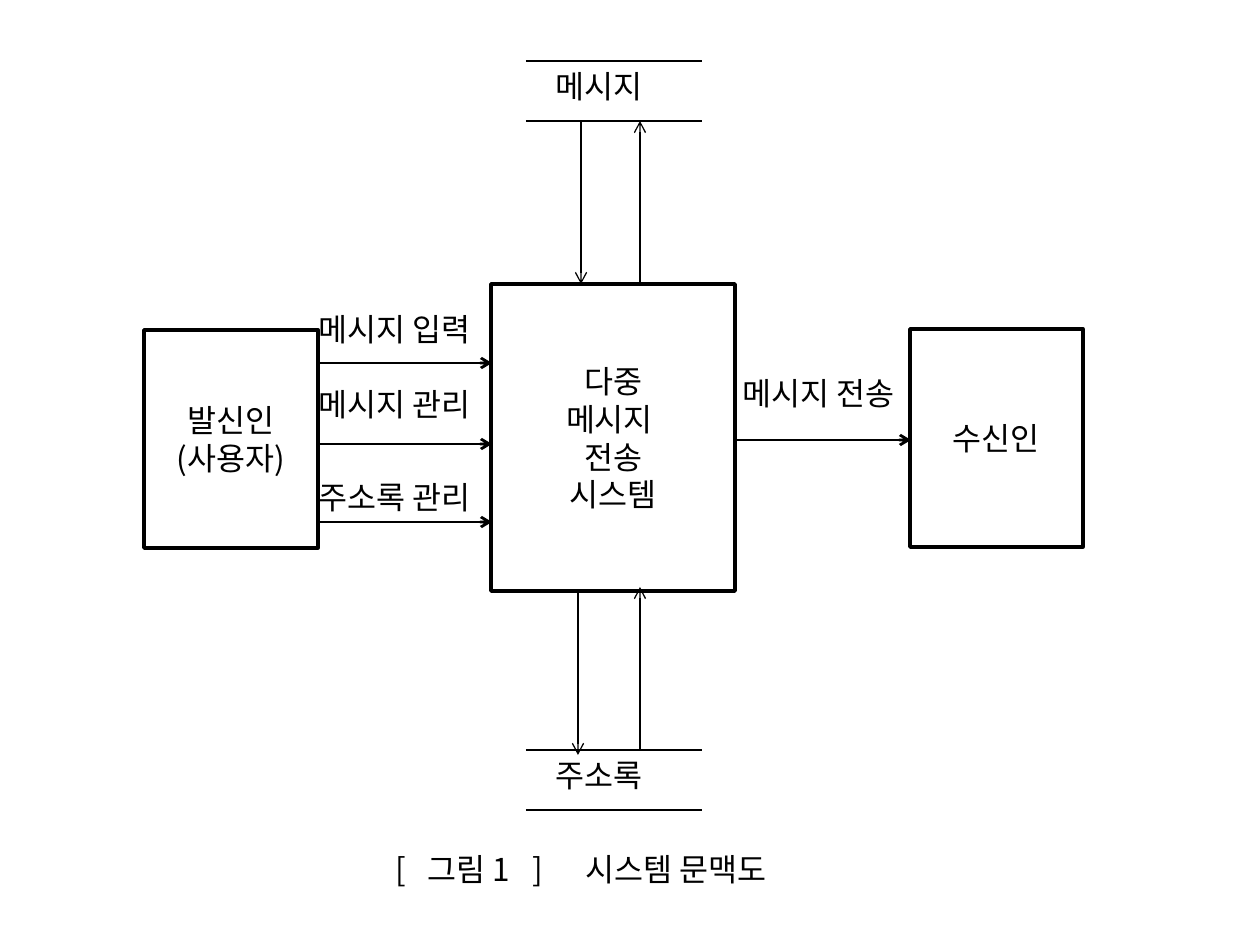
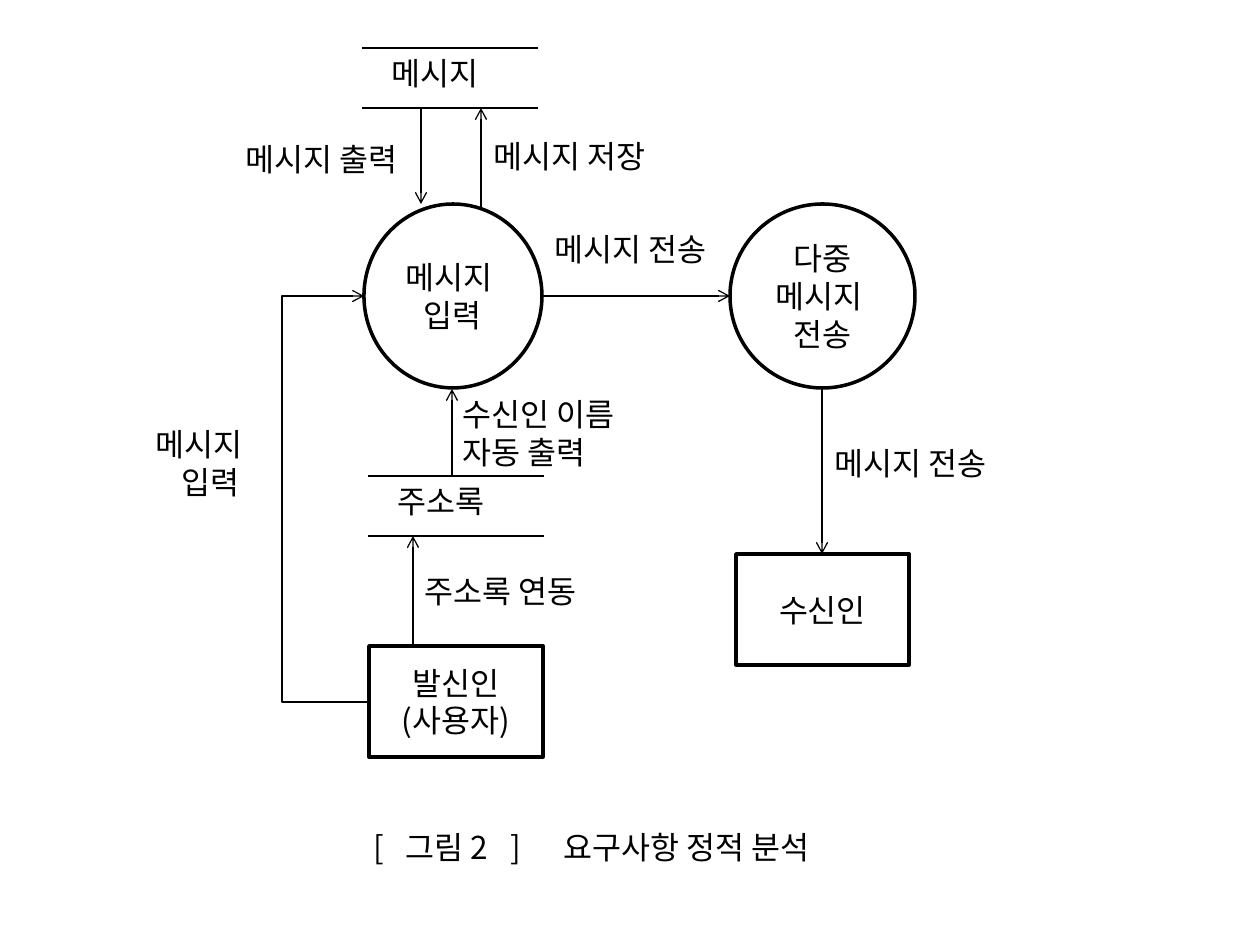
from lxml import etree
from pptx import Presentation
from pptx.dml.color import RGBColor
from pptx.enum.shapes import MSO_CONNECTOR, MSO_SHAPE
from pptx.enum.text import MSO_ANCHOR, MSO_AUTO_SIZE, PP_ALIGN
from pptx.oxml.ns import qn
from pptx.util import Inches, Pt

RECT, OVAL = MSO_SHAPE.RECTANGLE, MSO_SHAPE.OVAL
STRAIGHT, ELBOW = MSO_CONNECTOR.STRAIGHT, MSO_CONNECTOR.ELBOW
LEFT, CENTER = PP_ALIGN.LEFT, PP_ALIGN.CENTER
MIDDLE = MSO_ANCHOR.MIDDLE
FIT = MSO_AUTO_SIZE.SHAPE_TO_FIT_TEXT


def px(n):
    return round(n * Inches(1) / 126)


def rgb(value):
    return RGBColor.from_string(value)


class Diagram:
    FONT, SIZE = "Noto Sans CJK KR", 18
    INK, PAPER = "000000", "FFFFFF"
    BOX_LINE, STORE_LINE, BOLD_FLOW, THIN_FLOW = 2, 1.5, 1.6, 0.75
    STORE_W, STORE_H, STORE_INDENT = 176, 60, 17
    LINE_H, PAD_H = 38, 12
    CAPTION_TABS = (32, 137, 190)

    def __init__(self, prs):
        self.prs = prs
        self.s = None

    def new_slide(self):
        self.s = self.prs.slides.add_slide(self.prs.slide_layouts[6])

    def add_lines(self, tf, lines, align=LEFT, indents=()):
        """One paragraph per line, with an optional left indent for each."""
        tf.word_wrap = True
        for i, line in enumerate(lines):
            p = tf.paragraphs[0] if i == 0 else tf.add_paragraph()
            p.alignment = align
            if i < len(indents):
                p._p.get_or_add_pPr().set("marL", str(px(indents[i])))
            r = p.add_run()
            r.text = line
            r.font.size = Pt(self.SIZE)
            r.font.color.rgb = rgb(self.INK)
            r.font.name = self.FONT
            ea = etree.SubElement(r._r.get_or_add_rPr(), qn("a:ea"))
            ea.set("typeface", self.FONT)

    def node(self, kind, x, y, w, h, *lines):
        sp = self.s.shapes.add_shape(kind, px(x), px(y), px(w), px(h))
        sp.shadow.inherit = False
        sp.fill.solid()
        sp.fill.fore_color.rgb = rgb(self.PAPER)
        sp.line.color.rgb = rgb(self.INK)
        sp.line.width = Pt(self.BOX_LINE)
        sp.text_frame.vertical_anchor = MIDDLE
        self.add_lines(sp.text_frame, lines, CENTER)

    def label(self, x, y, w, *lines, indents=(), shapes=None):
        h = self.LINE_H * len(lines) + self.PAD_H
        shapes = self.s.shapes if shapes is None else shapes
        sp = shapes.add_textbox(px(x), px(y), px(w), px(h))
        self.add_lines(sp.text_frame, lines, indents=indents)
        sp.text_frame.auto_size = FIT
        return sp

    def line(self, x1, y1, x2, y2, width, kind=STRAIGHT, arrow=False, shapes=None):
        shapes = self.s.shapes if shapes is None else shapes
        c = shapes.add_connector(kind, px(x1), px(y1), px(x2), px(y2))
        c.line.color.rgb = rgb(self.INK)
        c.line.width = Pt(width)
        if arrow:
            tail = etree.SubElement(c.line._get_or_add_ln(), qn("a:tailEnd"))
            tail.set("type", "arrow")
        etree.SubElement(c._element.spPr, qn("a:effectLst"))
        return c

    def flow(self, x1, y1, x2, y2, width=THIN_FLOW):
        self.line(x1, y1, x2, y2, width, arrow=True)

    def bent_flow(self, x1, y1, x2, y2, via_x):
        """Elbow from lower right to upper left, turning at via_x."""
        c = self.line(x2, y2, x1, y1, self.THIN_FLOW, ELBOW, arrow=True)
        spPr = c._element.spPr
        spPr.find(qn("a:xfrm")).set("rot", "10800000")
        geom = spPr.find(qn("a:prstGeom"))
        av = geom.find(qn("a:avLst"))
        if av is None:
            av = etree.SubElement(geom, qn("a:avLst"))
        gd = etree.SubElement(av, qn("a:gd"))
        gd.set("name", "adj1")
        gd.set("fmla", f"val {round(100000 * (x1 - via_x) / (x1 - x2))}")

    def store(self, x, y, name):
        """Data store: a name between two rules."""
        shapes = self.s.shapes.add_group_shape().shapes
        right, bottom = x + self.STORE_W, y + self.STORE_H
        self.line(x, bottom, right, bottom, self.STORE_LINE, shapes=shapes)
        self.label(x, y, self.STORE_W, name,
                   indents=[self.STORE_INDENT], shapes=shapes)
        self.line(x, y, right, y, self.STORE_LINE, shapes=shapes)

    def caption(self, x, y, w, number, title):
        sp = self.label(x, y, w, f"[\t그림 {number}\t]\t{title}")
        pPr = sp.text_frame.paragraphs[0]._p.get_or_add_pPr()
        tabs = etree.SubElement(pPr, qn("a:tabLst"))
        for pos in self.CAPTION_TABS:
            tab = etree.SubElement(tabs, qn("a:tab"))
            tab.set("pos", str(px(pos)))
            tab.set("algn", "l")


prs = Presentation()
prs.slide_width, prs.slide_height = Inches(10), Inches(7.5)
d = Diagram(prs)
SENDER = ("발신인", "(사용자)")

# Slide 1: context diagram
d.new_slide()
d.node(RECT, 144, 330, 174, 218, *SENDER)
d.node(RECT, 491, 284, 244, 307, "다중", "메시지 ", "전송", "시스템")
d.node(RECT, 910, 329, 173, 218, "수신인")
d.store(526, 61, "메시지")
d.store(526, 750, "주소록")

# Sender to system, system to receiver
for label_y, flow_y, text in ((304, 363, "메시지 입력"),
                              (379, 444, "메시지 관리"),
                              (472, 522, "주소록 관리")):
    d.flow(318, flow_y, 492, flow_y, d.BOLD_FLOW)
    d.label(306, label_y, 199, text)
d.flow(736, 440, 911, 440, d.BOLD_FLOW)
d.label(730, 368, 199, "메시지 전송")

# System to and from the stores
d.flow(581, 121, 581, 284)
d.flow(640, 284, 640, 121)
d.flow(578, 591, 578, 755)
d.flow(640, 750, 640, 587)
d.caption(383, 844, 461, 1, "시스템 문맥도")

# Slide 2: static analysis of requirements
d.new_slide()
d.store(362, 48, "메시지")
d.store(368, 476, "주소록")
d.node(RECT, 369, 646, 174, 111, *SENDER)
d.node(RECT, 736, 554, 173, 111, "수신인")
d.node(OVAL, 364, 204, 178, 184, "메시지 ", "입력")
d.node(OVAL, 730, 204, 185, 184, "다중", "메시지 ", "전송")

# Flows
for ends in ((413, 646, 413, 536), (452, 476, 452, 389),
             (542, 296, 730, 296), (822, 389, 822, 554),
             (481, 210, 481, 108), (421, 108, 421, 204)):
    d.flow(*ends)
d.bent_flow(369, 702, 364, 296, via_x=282)

# Flow names
for x, y, *lines in ((412, 566, "주소록 연동"),
                     (450, 389, "수신인 이름", "자동 출력"),
                     (822, 438, "메시지 전송"),
                     (542, 224, "메시지 전송"),
                     (481, 131, "메시지 저장"),
                     (233, 134, "메시지 출력")):
    d.label(x, y, 213, *lines)
d.label(143, 419, 140, "메시지 ", "입력", indents=(0, 26))
d.caption(361, 822, 525, 2, "요구사항 정적 분석")

prs.save("out.pptx")
